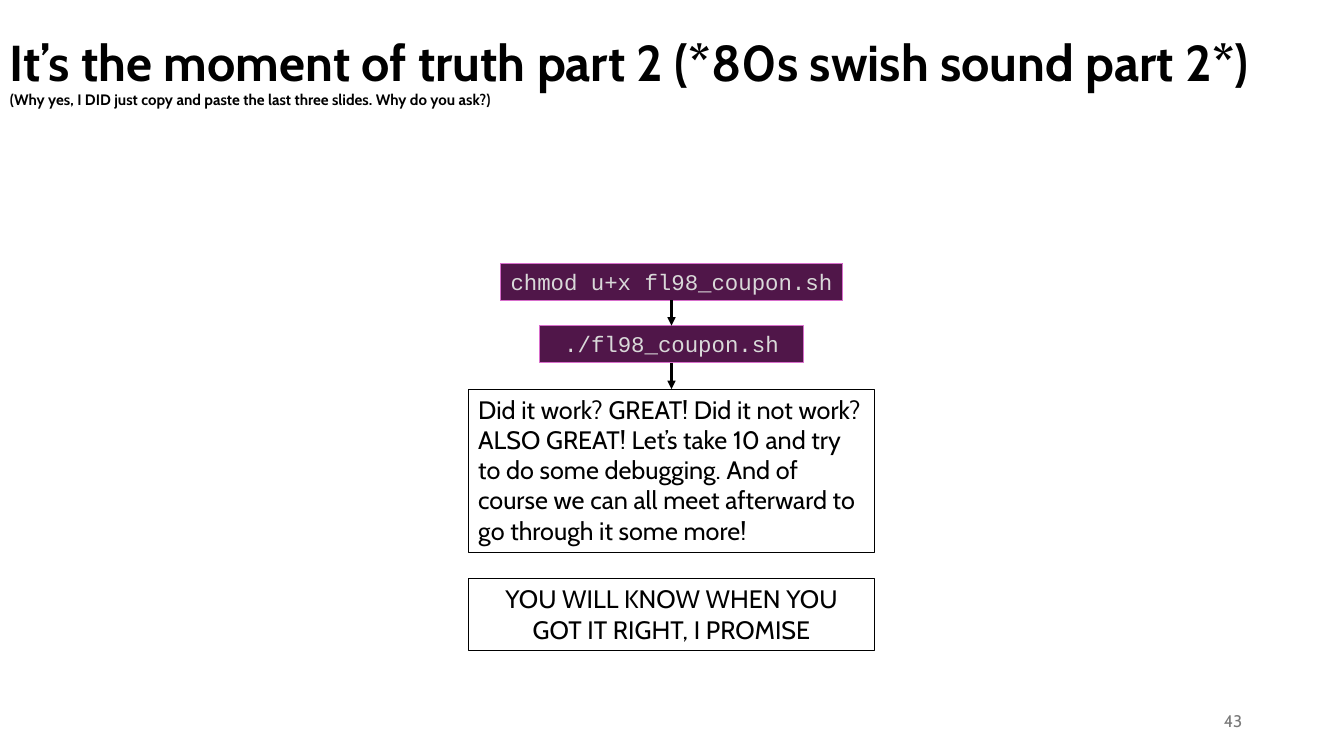
from lxml.etree import SubElement
from pptx import Presentation
from pptx.dml.color import RGBColor
from pptx.enum.shapes import MSO_CONNECTOR as Connector, MSO_SHAPE as Shape
from pptx.enum.text import MSO_ANCHOR as Anchor, PP_ALIGN as Align
from pptx.oxml.ns import qn
from pptx.util import Inches, Pt

COLORS = {
    "ink": "000000",
    "paper": "FFFFFF",
    "terminal": "501649",
    "terminal_edge": "D86ECC",
    "terminal_text": "D9D9D9",
    "number": "797979",
}
CENTER = 6.66


def color(name):
    return RGBColor.from_string(COLORS[name])


def write(frame, *lines, sizes=(18,), font="Cabin", ink="ink", bold=False,
          align=Align.LEFT, anchor=Anchor.TOP, wrap=True, spacing=None):
    frame.word_wrap = wrap
    frame.vertical_anchor = anchor
    para = frame.paragraphs[0]
    para.alignment = align
    para.line_spacing = spacing
    for index, (line, size) in enumerate(zip(lines, sizes)):
        if index:
            para.add_line_break()
        span = para.add_run()
        span.text = line
        span.font.size = Pt(size)
        span.font.name = font
        span.font.bold = bold
        span.font.color.rgb = color(ink)


class SlideBuilder:
    def __init__(self, page):
        self.page = page

    def label(self, left, top, width, height, *lines, **style):
        box = self.page.shapes.add_textbox(
            Inches(left), Inches(top), Inches(width), Inches(height))
        write(box.text_frame, *lines, anchor=Anchor.MIDDLE, **style)

    def panel(self, top, width, height, text, fill="paper", edge="ink", **style):
        box = self.page.shapes.add_shape(
            Shape.RECTANGLE, Inches(CENTER - width / 2), Inches(top),
            Inches(width), Inches(height))
        box.shadow.inherit = False
        box.fill.solid()
        box.fill.fore_color.rgb = color(fill)
        box.line.color.rgb = color(edge)
        box.line.width = Pt(0.75)
        write(box.text_frame, text, **style)
        return box

    def command(self, top, width, text):
        return self.panel(top, width, 0.37, text, fill="terminal",
                          edge="terminal_edge", ink="terminal_text",
                          font="Courier New", sizes=(16,),
                          align=Align.CENTER, wrap=False)

    def arrow(self, upper, lower):
        link = self.page.shapes.add_connector(Connector.STRAIGHT, 0, 0, 0, 0)
        link.begin_connect(upper, 2)
        link.end_connect(lower, 0)
        link.line.color.rgb = color("ink")
        link.line.width = Pt(1.5)
        properties = link._element.spPr
        SubElement(properties.find(qn("a:ln")), qn("a:tailEnd"), type="triangle")
        SubElement(properties, qn("a:effectLst"))


def main():
    deck = Presentation()
    deck.slide_width = Inches(13.33)
    deck.slide_height = Inches(7.5)
    page = deck.slides.add_slide(deck.slide_layouts[6])
    builder = SlideBuilder(page)

    builder.label(0, 0, 13.33, 1.45,
                  "It’s the moment of truth part 2 (*80s swish sound part 2*)",
                  "(Why yes, I DID just copy and paste the last three slides. Why do you ask?)",
                  sizes=(36, 10.8), bold=True, spacing=0.9)
    builder.label(9.42, 6.95, 3, 0.4, "43", sizes=(12,), ink="number",
                  align=Align.RIGHT)

    steps = [
        builder.command(2.61, 3.4, "chmod u+x fl98_coupon.sh"),
        builder.command(3.23, 2.61, "./fl98_coupon.sh"),
        builder.panel(3.86, 4.03, 1.62,
                      "Did it work? GREAT! Did it not work? ALSO GREAT! "
                      "Let’s take 10 and try to do some debugging. And of course "
                      "we can all meet afterward to go through it some more!"),
    ]
    for upper, lower in zip(steps, steps[1:]):
        builder.arrow(upper, lower)
    builder.panel(5.74, 4.03, 0.71,
                  "YOU WILL KNOW WHEN YOU GOT IT RIGHT, I PROMISE",
                  align=Align.CENTER)

    deck.save("out.pptx")


if __name__ == "__main__":
    main()
